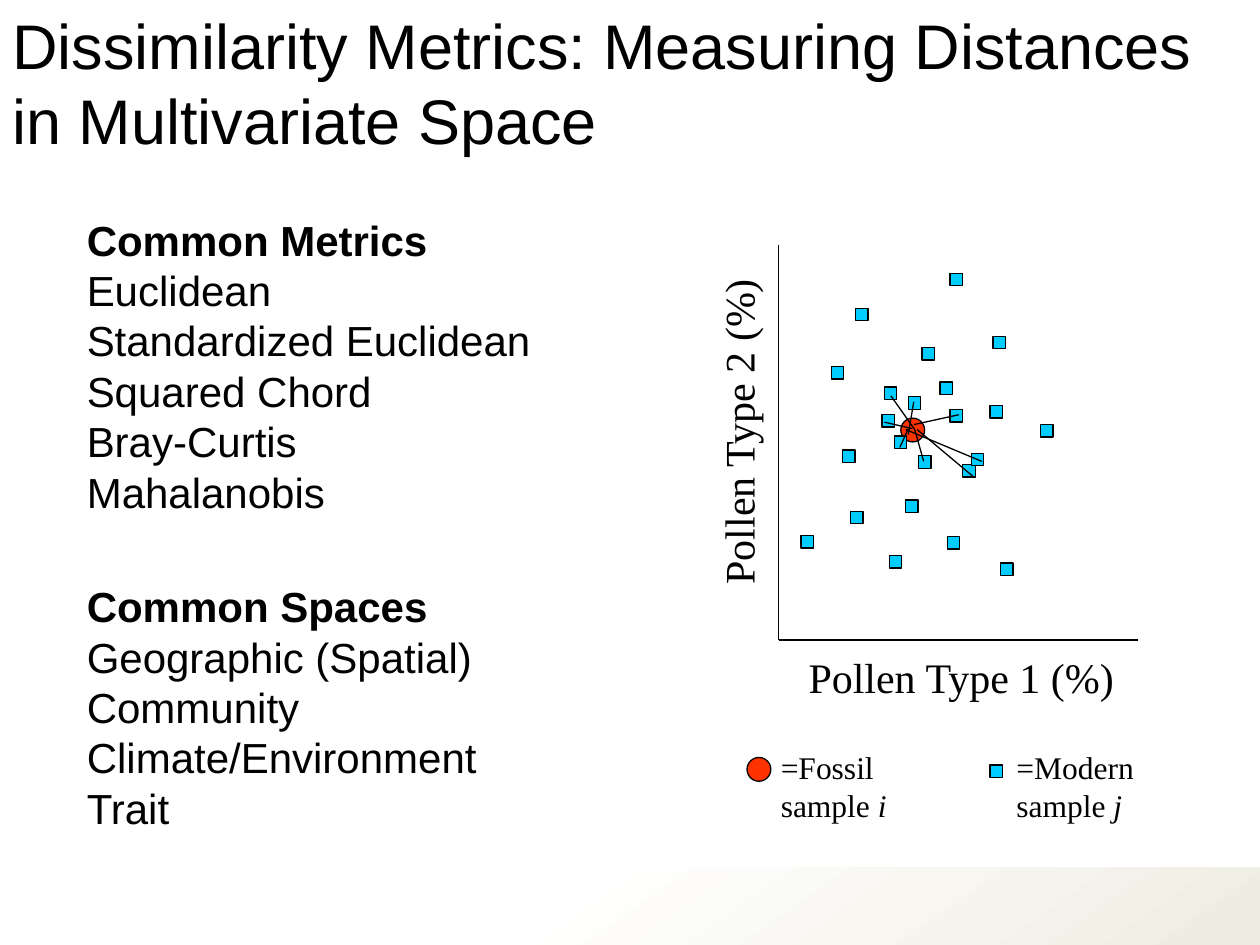
"""Builds the slide on dissimilarity metrics and distances in multivariate space."""
from lxml import etree
from pptx import Presentation
from pptx.dml.color import RGBColor
from pptx.enum.shapes import MSO_CONNECTOR, MSO_SHAPE
from pptx.enum.text import MSO_ANCHOR, MSO_AUTO_SIZE
from pptx.oxml.ns import qn
from pptx.util import Cm, Pt

SQUARE, CIRCLE = MSO_SHAPE.RECTANGLE, MSO_SHAPE.OVAL
STRAIGHT = MSO_CONNECTOR.STRAIGHT
TOP = MSO_ANCHOR.TOP
GROW = MSO_AUTO_SIZE.SHAPE_TO_FIT_TEXT
SANS, SERIF = "Arial", "Times New Roman"
BLACK, WHITE, BEIGE = "000000", "FFFFFF", "EEECE1"
FOSSIL_RED, MODERN_BLUE = "FF3300", "00CCFF"
FOSSIL_SIZE, MODERN_SIZE = 0.48, 0.25

prs = Presentation()
prs.slide_width, prs.slide_height = Cm(25.4), Cm(19.05)
slide = prs.slides.add_slide(prs.slide_layouts[6])


def add_mark(kind, left, top, width, height, fill, line=BLACK):
    mark = slide.shapes.add_shape(kind, Cm(left), Cm(top), Cm(width), Cm(height))
    mark.shadow.inherit = False
    mark.fill.solid()
    mark.fill.fore_color.rgb = RGBColor.from_string(fill)
    mark.line.color.rgb = RGBColor.from_string(line)
    mark.line.width = Pt(0.75)
    return mark


def add_text(paragraphs, left, top, width, height, size=24, font=SANS, wrap=False,
             bold_first=False, italic_last=False, rotation=0):
    box = slide.shapes.add_textbox(Cm(left), Cm(top), Cm(width), Cm(height))
    box.rotation = rotation
    frame = box.text_frame
    frame.word_wrap = wrap
    frame.vertical_anchor = TOP
    if not wrap:
        frame.auto_size = GROW
    for row, text in enumerate(paragraphs):
        paragraph = frame.paragraphs[0] if row == 0 else frame.add_paragraph()
        italic_row = italic_last and row == len(paragraphs) - 1
        for part in ((text[:-1], text[-1]) if italic_row else (text,)):
            run = paragraph.add_run()
            run.text = part
            run.font.name = font
            run.font.size = Pt(size)
            run.font.bold = bold_first and row == 0
            run.font.italic = italic_row and part == text[-1]
            run.font.color.rgb = RGBColor.from_string(BLACK)


footer = add_mark(SQUARE, 0, 17.48, 25.4, 1.57, WHITE)
footer.line.fill.background()
footer.fill.gradient()
footer.fill.gradient_angle = 305
for stop, (position, colour) in zip(footer.fill.gradient_stops, [(0.43, WHITE), (1, BEIGE)]):
    stop.position = position
    stop.color.rgb = RGBColor.from_string(colour)

add_mark(SQUARE, 11.81, 3.63, 12.65, 12.65, WHITE, line=WHITE)
add_text(["Dissimilarity Metrics: Measuring Distances in Multivariate Space"],
         0, 0, 25.4, 1.7, size=36, wrap=True)

fossil_samples = [(18.16, 8.43), (15.06, 15.27)]
for left, top in fossil_samples:
    add_mark(CIRCLE, left, top, FOSSIL_SIZE, FOSSIL_SIZE, FOSSIL_RED)

modern_samples = [
    (19.96, 8.18), (18.59, 7.01), (18.52, 9.19), (18.95, 7.7), (17.83, 7.8), (18.26, 10.08),
    (17.15, 10.31), (16.99, 9.07), (20.02, 6.78), (16.76, 7.39), (19.41, 9.37), (19.15, 5.51),
    (20.17, 11.35), (19.1, 10.82), (19.15, 8.26), (19.58, 9.14), (16.15, 10.8), (20.98, 8.56),
    (17.25, 6.22), (17.93, 11.2), (18.31, 8), (18.03, 8.79), (17.78, 8.36), (19.96, 15.42),
]
for left, top in modern_samples:
    add_mark(SQUARE, left, top, MODERN_SIZE, MODERN_SIZE, MODERN_BLUE)

axes = [(15.7, 4.93, 15.7, 12.9), (15.7, 12.9, 22.94, 12.9)]
distances = [
    (18.42, 8.56, 19.33, 8.36), (18.31, 8.76, 18.42, 8.1), (18.62, 9.3, 18.44, 8.66),
    (18.14, 9.02, 18.31, 8.64), (17.83, 8.51, 18.39, 8.64), (17.96, 7.98, 18.44, 8.66),
    (19.61, 9.6, 18.49, 8.66), (19.79, 9.3, 18.26, 8.66),
]
for ends in axes + distances:
    segment = slide.shapes.add_connector(STRAIGHT, *[Cm(value) for value in ends])
    segment.line.color.rgb = RGBColor.from_string(BLACK)
    segment.line.width = Pt(0.75)
    etree.SubElement(segment._element.spPr, qn("a:effectLst"))

add_text(["Pollen Type 1 (%)"], 16.05, 13, 6.73, 1.27, font=SERIF)
add_text(["Pollen Type 2 (%)"], 11.51, 8.03, 6.73, 1.27, font=SERIF, rotation=270)
add_text(["=Fossil", "sample i"], 15.49, 14.96, 2.64, 1.78, size=18, font=SERIF, italic_last=True)
add_text(["=Modern", "sample j"], 20.24, 14.96, 2.9, 1.8, size=18, font=SERIF, italic_last=True)

add_text(["Common Metrics", "Euclidean", "Standardized Euclidean", "Squared Chord",
          "Bray-Curtis", "Mahalanobis"], 1.5, 4.19, 9.55, 6.4, bold_first=True)
add_text(["Common Spaces", "Geographic (Spatial)", "Community", "Climate/Environment",
          "Trait"], 1.5, 11.58, 8.46, 5.38, bold_first=True)

prs.save("out.pptx")
